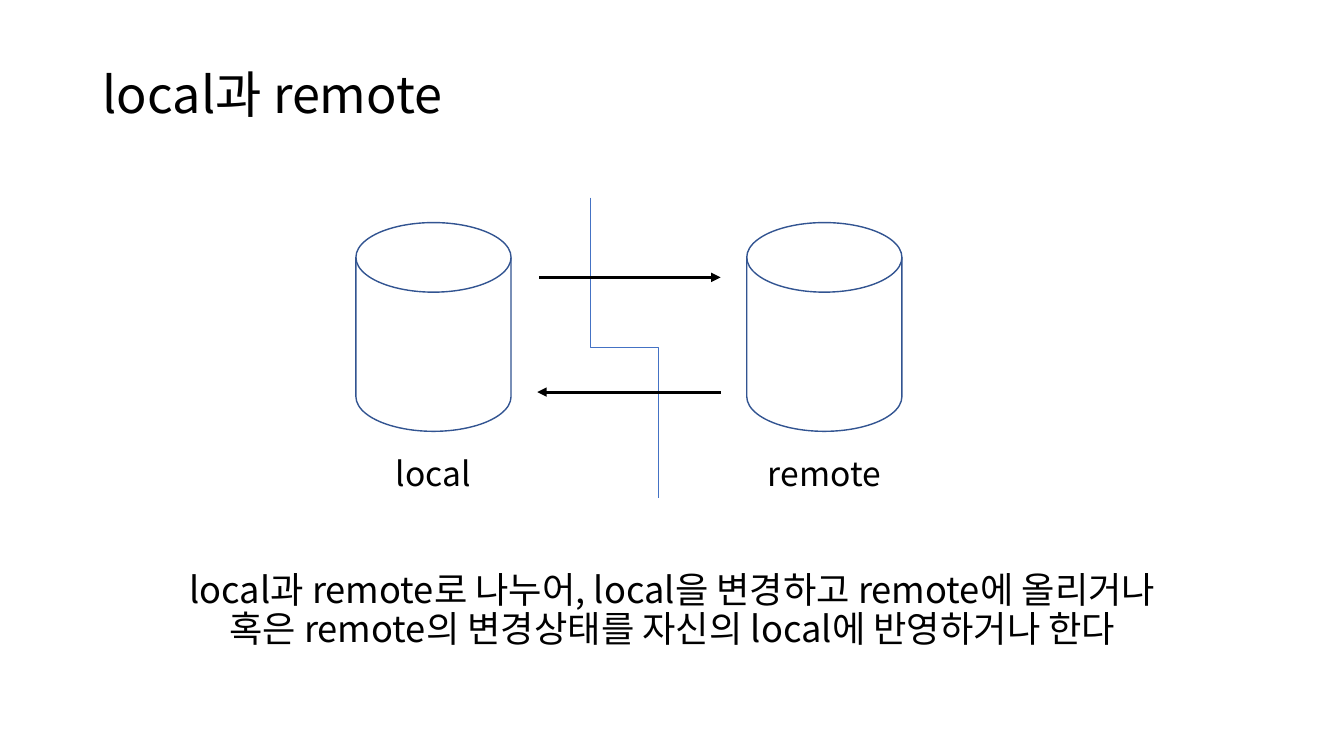
import pptx
import pptx.dml.color
import pptx.enum.shapes
import pptx.enum.text
import pptx.oxml.ns
import pptx.util
from lxml import etree

Cm = pptx.util.Cm
Pt = pptx.util.Pt
RGBColor = pptx.dml.color.RGBColor
PP_ALIGN = pptx.enum.text.PP_ALIGN
MSO_ANCHOR = pptx.enum.text.MSO_ANCHOR
MSO_SHAPE = pptx.enum.shapes.MSO_SHAPE
MSO_CONNECTOR = pptx.enum.shapes.MSO_CONNECTOR
qn = pptx.oxml.ns.qn

BLACK = RGBColor(0x00, 0x00, 0x00)
DISK_LINE = RGBColor(0x32, 0x54, 0x91)
DIVIDER = RGBColor(0x44, 0x72, 0xC4)
FONT = "Noto Sans CJK KR"

DISK_W, DISK_H, DISK_TOP = 3.91, 5.26, 5.61
LABEL_W, LABEL_H, LABEL_TOP = 3.35, 1.27, 11.28


def add_text(s, text, left, top, width, height, size, align=PP_ALIGN.CENTER,
             anchor=MSO_ANCHOR.TOP, line_spacing=1.0, space_before=0):
    tf = s.shapes.add_textbox(Cm(left), Cm(top), Cm(width), Cm(height)).text_frame
    tf.word_wrap = True
    tf.vertical_anchor = anchor
    tf.text = text
    for p in tf.paragraphs:
        p.alignment = align
        p.line_spacing = line_spacing
        p.space_before = Pt(space_before)
        for r in p.runs:
            r.font.size = Pt(size)
            r.font.name = FONT
            r.font.color.rgb = BLACK
            ea = etree.SubElement(r.font._element, qn("a:ea"))
            ea.set("typeface", FONT)


def add_repository(s, name, left):
    """Draw a disk with its name centred below it."""
    sp = s.shapes.add_shape(MSO_SHAPE.FLOWCHART_MAGNETIC_DISK,
                            Cm(left), Cm(DISK_TOP), Cm(DISK_W), Cm(DISK_H))
    sp.shadow.inherit = False
    sp.fill.background()
    sp.line.color.rgb = DISK_LINE
    sp.line.width = Pt(1)
    add_text(s, name, left + (DISK_W - LABEL_W) / 2, LABEL_TOP,
             LABEL_W, LABEL_H, 24)


def add_line(s, kind, x1, y1, x2, y2, color, width):
    cxn = s.shapes.add_connector(kind, Cm(x1), Cm(y1), Cm(x2), Cm(y2))
    cxn.line.color.rgb = color
    cxn.line.width = Pt(width)
    etree.SubElement(cxn._element.spPr, qn("a:effectLst"))
    return cxn


def add_arrow(s, x1, x2, y):
    cxn = add_line(s, MSO_CONNECTOR.STRAIGHT, x1, y, x2, y, BLACK, 2.25)
    tail = etree.SubElement(cxn.line._get_or_add_ln(), qn("a:tailEnd"))
    tail.set("type", "triangle")


def add_divider(s, x1, y1, x2, y2):
    """Draw an elbow that runs down, across and down again."""
    cx, cy = (x1 + x2) / 2, (y1 + y2) / 2
    half_w, half_h = (y2 - y1) / 2, (x2 - x1) / 2
    cxn = add_line(s, MSO_CONNECTOR.ELBOW, cx + half_w, cy - half_h,
                   cx - half_w, cy + half_h, DIVIDER, 0.5)
    cxn._element.spPr.find(qn("a:xfrm")).set("rot", str(270 * 60000))


def main():
    prs = pptx.Presentation()
    prs.slide_width, prs.slide_height = Cm(33.87), Cm(19.05)
    s = prs.slides.add_slide(prs.slide_layouts[6])

    add_text(s, "local과 remote", 2.34, 1.02, 29.21, 2.84, 36,
             align=PP_ALIGN.LEFT, anchor=MSO_ANCHOR.MIDDLE, line_spacing=0.9)
    add_text(s, "local과 remote로 나누어, local을 변경하고 remote에 올리거나\n"
                "혹은 remote의 변경상태를 자신의 local에 반영하거나 한다",
             2.34, 14.33, 29.21, 2.29, 25.9,
             anchor=MSO_ANCHOR.MIDDLE, line_spacing=0.7, space_before=6)

    add_repository(s, "local", 8.97)
    add_repository(s, "remote", 18.82)
    add_divider(s, 14.87, 4.98, 16.6, 12.55)
    add_arrow(s, 13.59, 18.16, 6.99)
    add_arrow(s, 18.16, 13.54, 9.88)

    prs.save("out.pptx")


if __name__ == "__main__":
    main()
